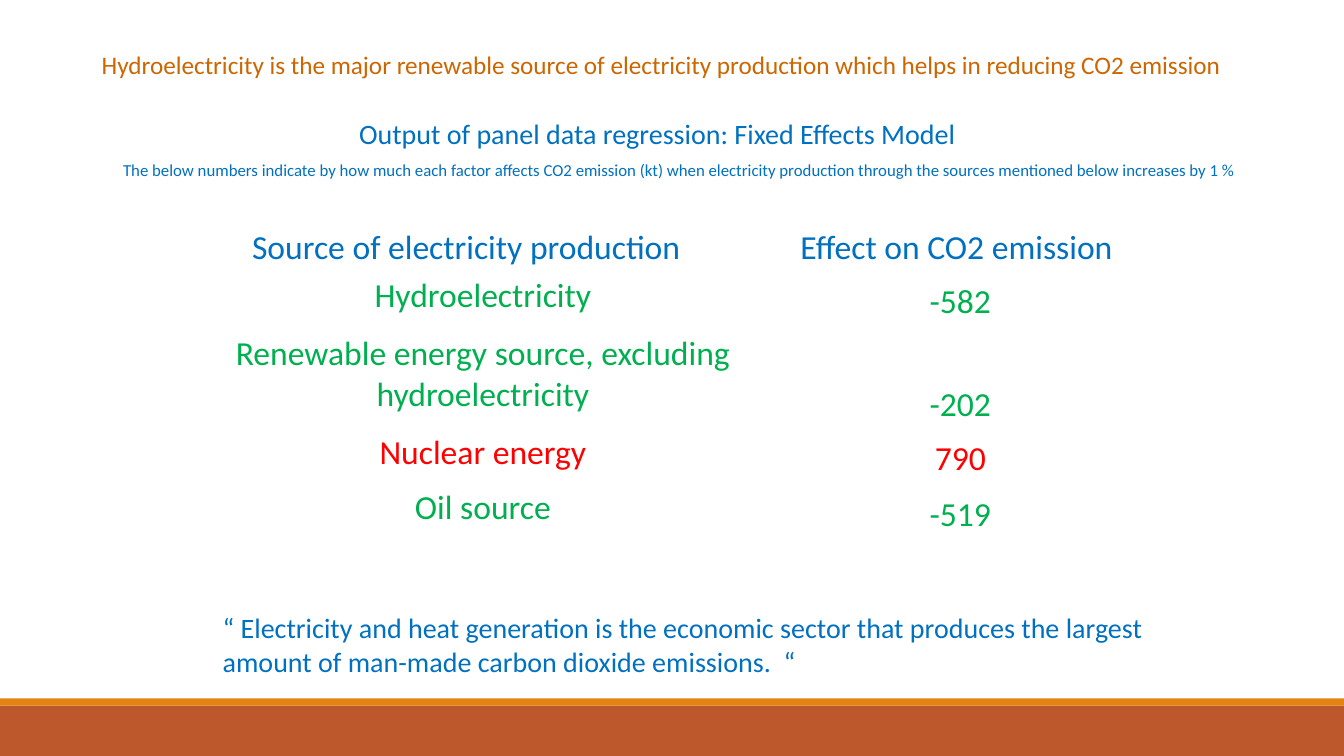
from pptx import Presentation
from pptx.dml.color import RGBColor
from pptx.enum.shapes import MSO_SHAPE
from pptx.enum.text import MSO_ANCHOR as ANCHOR, PP_ALIGN as ALIGN
from pptx.util import Inches, Pt

BLUE = RGBColor(0x00, 0x70, 0xC0)
GREEN = RGBColor(0x00, 0xB0, 0x50)
RED = RGBColor(0xFF, 0x00, 0x00)
OCHRE = RGBColor(0xCC, 0x66, 0x00)
ORANGE = RGBColor(0xE4, 0x83, 0x12)
RUST = RGBColor(0xBD, 0x58, 0x2C)

HEADERS = ("Source of electricity production", "Effect on CO2 emission")
EFFECTS = [
    ("Hydroelectricity", -582),
    ("Renewable energy source, excluding hydroelectricity", -202),
    ("Nuclear energy", 790),
    ("Oil source", -519),
]
COL_WIDTHS = (5.36, 4.11)
ROW_HEIGHTS = (0.54, 0.54, 1.02, 0.54, 0.55)
HEADER_INDENTS = (0.38, 0.46)


def write(p, text, size=20, color=BLUE, font="Calibri", align=ALIGN.LEFT,
          before=0, indent=0):
    """Fill a paragraph with one formatted run; indent is in inches."""
    p.alignment = align
    p.space_before = Pt(before)
    if indent:
        p._p.get_or_add_pPr().set("marL", str(Inches(indent)))
    r = p.add_run()
    r.text = text
    r.font.size = Pt(size)
    r.font.name = font
    r.font.color.rgb = color


class SlideBuilder:
    def __init__(self, slide):
        self.slide = slide

    def bar(self, top, height, color):
        sp = self.slide.shapes.add_shape(
            MSO_SHAPE.RECTANGLE, 0, Inches(top), Inches(13.33), Inches(height))
        sp.shadow.inherit = False
        sp.fill.solid()
        sp.fill.fore_color.rgb = color
        sp.line.fill.background()

    def text(self, left, top, width, height, *paragraphs):
        """Add a wrapped text box; each paragraph is (text, format)."""
        sp = self.slide.shapes.add_textbox(
            Inches(left), Inches(top), Inches(width), Inches(height))
        tf = sp.text_frame
        tf.word_wrap = True
        for i, (text, style) in enumerate(paragraphs):
            p = tf.add_paragraph() if i else tf.paragraphs[0]
            write(p, text, **style)

    def cell(self, cell, text, anchor, **style):
        cell.fill.background()
        cell.vertical_anchor = anchor
        cell.margin_left = cell.margin_right = cell.margin_top = Inches(0.01)
        cell.margin_bottom = 0
        write(cell.text_frame.paragraphs[0], text, size=24, **style)

    def effects_table(self, left, top):
        table = self.slide.shapes.add_table(
            len(ROW_HEIGHTS), len(COL_WIDTHS), Inches(left), Inches(top),
            Inches(sum(COL_WIDTHS)), Inches(sum(ROW_HEIGHTS))).table
        table.first_row = table.horz_banding = False
        for column, width in zip(table.columns, COL_WIDTHS):
            column.width = Inches(width)
        for row, height in zip(table.rows, ROW_HEIGHTS):
            row.height = Inches(height)
        for col, (header, indent) in enumerate(zip(HEADERS, HEADER_INDENTS)):
            self.cell(table.cell(0, col), header, ANCHOR.BOTTOM, indent=indent)
        for row, (source, effect) in enumerate(EFFECTS, start=1):
            style = {"color": RED if effect > 0 else GREEN, "align": ALIGN.CENTER}
            self.cell(table.cell(row, 0), source, ANCHOR.MIDDLE, **style)
            self.cell(table.cell(row, 1), str(effect), ANCHOR.BOTTOM, **style)


def main():
    prs = Presentation()
    prs.slide_width, prs.slide_height = Inches(13.33), Inches(7.5)
    s = SlideBuilder(prs.slides.add_slide(prs.slide_layouts[6]))

    s.bar(7, 0.5, RUST)
    s.bar(6.93, 0.07, ORANGE)
    s.text(2.11, 6.01, 9.97, 0.77, (
        "“ Electricity and heat generation is the economic sector that produces "
        "the largest amount of man-made carbon dioxide emissions.  “", {}))
    s.effects_table(2.11, 2.12)
    s.text(0.16, 1.11, 12.72, 0.77,
           ("Output of panel data regression: Fixed Effects Model",
            {"align": ALIGN.CENTER}),
           ("The below numbers indicate by how much each factor affects CO2 "
            "emission (kt) when electricity production through the sources "
            "mentioned below increases by 1 %",
            {"size": 12, "align": ALIGN.CENTER, "before": 7, "indent": 0.44}))
    s.text(0.91, 0.44, 12.15, 0.4, (
        "Hydroelectricity is the major renewable source of electricity "
        "production which helps in reducing CO2 emission",
        {"size": 18, "color": OCHRE}))

    prs.save("out.pptx")


if __name__ == "__main__":
    main()
